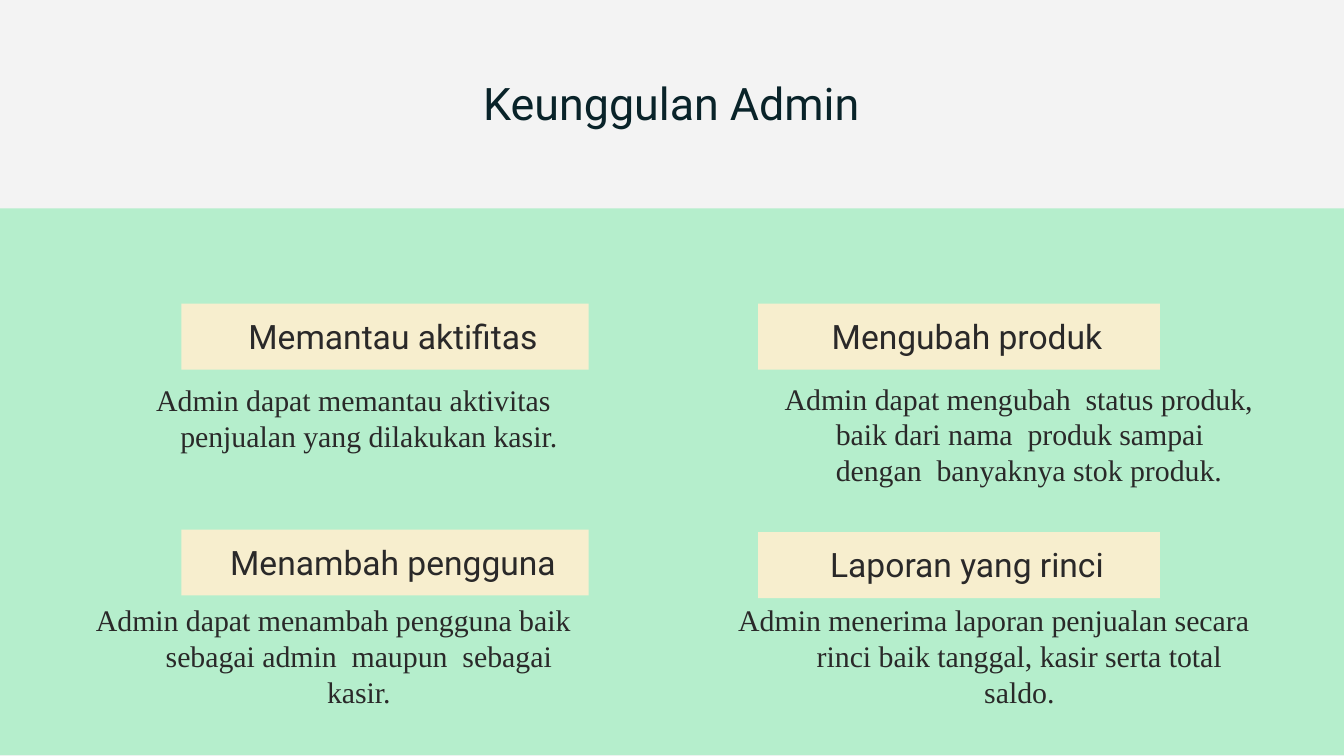
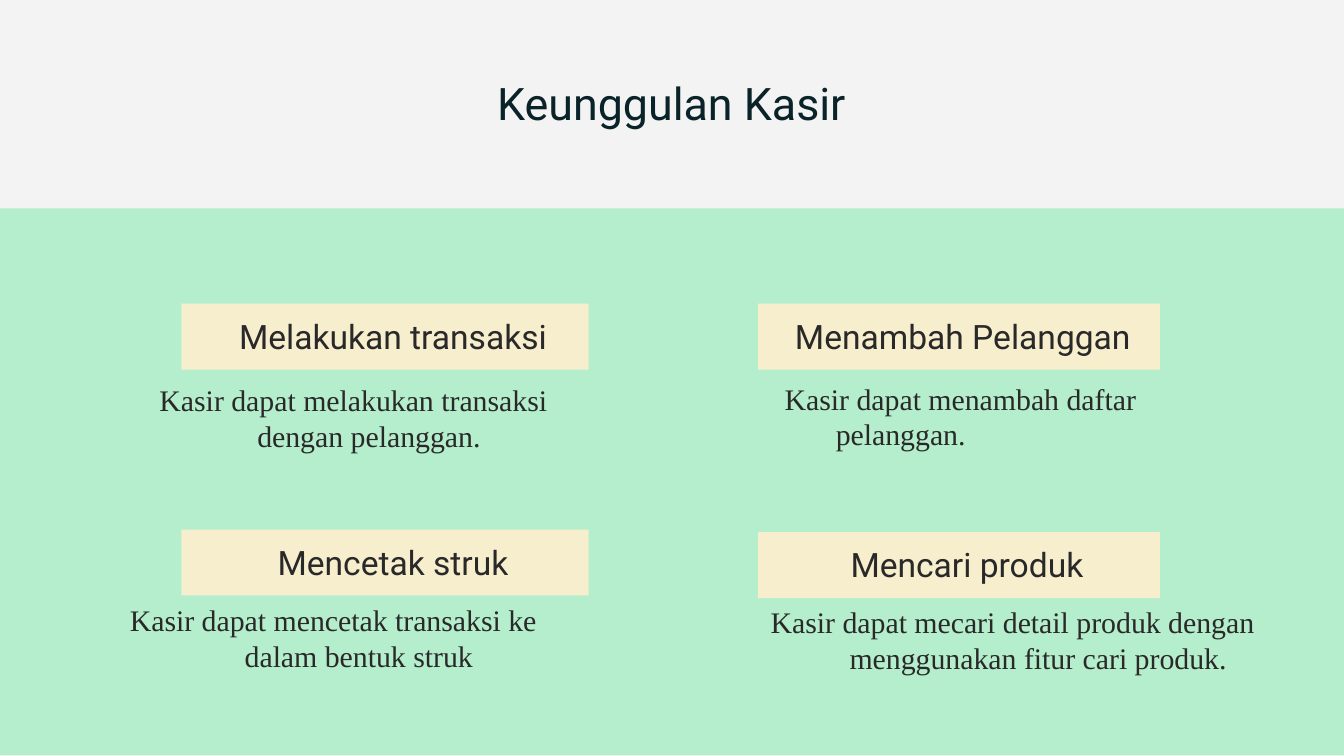
from dataclasses import dataclass, replace

from pptx import Presentation
from pptx.dml.color import RGBColor
from pptx.enum.shapes import MSO_SHAPE
from pptx.enum.text import MSO_ANCHOR, PP_ALIGN
from pptx.presentation import Presentation as Deck
from pptx.slide import Slide
from pptx.text.text import TextFrame
from pptx.util import Inches, Pt

PAPER = RGBColor(0xF3, 0xF3, 0xF3)
MINT = RGBColor(0xB5, 0xEE, 0xCC)
CREAM = RGBColor(0xF7, 0xEE, 0xCE)
TITLE_INK = RGBColor(0x09, 0x23, 0x29)
BODY_INK = RGBColor(0x2A, 0x29, 0x29)

HEADING_FONT = "Roboto"
BODY_FONT = "Times New Roman"
TITLE_ONLY_LAYOUT = 5
SLIDE_WIDTH = 10
INSET = Inches(0.1)


@dataclass(frozen=True)
class Area:
    left: float
    top: float
    width: float
    height: float

    def lengths(self) -> tuple[Inches, ...]:
        return tuple(Inches(n) for n in (self.left, self.top, self.width, self.height))


@dataclass(frozen=True)
class TextStyle:
    font: str
    size: int
    color: RGBColor
    anchor: MSO_ANCHOR
    align: PP_ALIGN = PP_ALIGN.CENTER
    margin: float = 0.0
    indent: float = 0.0


@dataclass(frozen=True)
class CardSlot:
    heading: Area
    body: Area
    body_style: TextStyle


@dataclass(frozen=True)
class Card:
    heading: str
    body: str


TITLE_AREA = Area(1.5, 0.46, 6.99, 0.63)
BAND_AREA = Area(-0.03, 1.55, 10.05, 4.07)

TITLE_STYLE = TextStyle(HEADING_FONT, 24, TITLE_INK, MSO_ANCHOR.TOP)
HEADING_STYLE = TextStyle(
    HEADING_FONT, 18, BODY_INK, MSO_ANCHOR.BOTTOM, margin=0.5, indent=-0.38
)
BODY_STYLE = replace(HEADING_STYLE, font=BODY_FONT, size=16, anchor=MSO_ANCHOR.TOP)

LEFT_HEADING = Area(1.35, 2.26, 3.03, 0.49)
RIGHT_HEADING = Area(5.64, 2.26, 2.99, 0.49)
SLOTS = [
    CardSlot(
        LEFT_HEADING,
        Area(0.46, 2.74, 3.92, 0.85),
        replace(BODY_STYLE, margin=0.65, indent=-0.23),
    ),
    CardSlot(
        RIGHT_HEADING,
        Area(5.62, 2.73, 3.92, 0.85),
        replace(BODY_STYLE, align=PP_ALIGN.LEFT),
    ),
    CardSlot(
        replace(LEFT_HEADING, top=3.94), Area(0.46, 4.38, 3.92, 0.79), BODY_STYLE
    ),
    CardSlot(
        replace(RIGHT_HEADING, top=3.96), Area(5.27, 4.38, 4.13, 0.78), BODY_STYLE
    ),
]
CASHIER_SLOTS = SLOTS[:3] + [replace(SLOTS[3], body=Area(5.41, 4.39, 4.13, 0.78))]

ADMIN_CARDS = [
    Card(
        "Memantau aktifitas",
        "Admin dapat memantau aktivitas penjualan yang dilakukan kasir.",
    ),
    Card(
        "Mengubah produk",
        "Admin dapat mengubah  status produk, baik dari nama  produk sampai "
        "dengan  banyaknya stok produk.",
    ),
    Card(
        "Menambah pengguna",
        "Admin dapat menambah pengguna baik sebagai admin  maupun  sebagai kasir.",
    ),
    Card(
        "Laporan yang rinci",
        "Admin menerima laporan penjualan secara rinci baik tanggal, kasir "
        "serta total saldo.",
    ),
]
CASHIER_CARDS = [
    Card(
        "Melakukan transaksi",
        "Kasir dapat melakukan transaksi dengan pelanggan.",
    ),
    Card("Menambah Pelanggan ", "Kasir dapat menambah daftar pelanggan."),
    Card("Mencetak struk", "Kasir dapat mencetak transaksi ke dalam bentuk struk"),
    Card(
        "Mencari produk",
        "Kasir dapat mecari detail produk dengan menggunakan fitur cari produk.",
    ),
]


def write(frame: TextFrame, text: str, style: TextStyle) -> None:
    frame.text = text
    frame.word_wrap = True
    frame.vertical_anchor = style.anchor
    frame.margin_left = frame.margin_right = INSET
    frame.margin_top = frame.margin_bottom = INSET
    paragraph = frame.paragraphs[0]
    paragraph.alignment = style.align
    properties = paragraph._p.get_or_add_pPr()
    properties.set("marL", str(Inches(style.margin)))
    properties.set("indent", str(Inches(style.indent)))
    for span in paragraph.runs:
        span.font.name = style.font
        span.font.size = Pt(style.size)
        span.font.color.rgb = style.color


def add_panel(page: Slide, area: Area, color: RGBColor) -> TextFrame:
    panel = page.shapes.add_shape(MSO_SHAPE.RECTANGLE, *area.lengths())
    panel.shadow.inherit = False
    panel.fill.solid()
    panel.fill.fore_color.rgb = color
    panel.line.fill.background()
    return panel.text_frame


def add_card(page: Slide, slot: CardSlot, card: Card) -> None:
    write(add_panel(page, slot.heading, CREAM), card.heading, HEADING_STYLE)
    box = page.shapes.add_textbox(*slot.body.lengths())
    write(box.text_frame, card.body, slot.body_style)


def add_page(deck: Deck, title: str, slots: list[CardSlot], cards: list[Card]) -> None:
    page = deck.slides.add_slide(deck.slide_layouts[TITLE_ONLY_LAYOUT])
    add_panel(page, BAND_AREA, MINT)
    heading = page.shapes.title
    heading.left, heading.top, heading.width, heading.height = TITLE_AREA.lengths()
    write(heading.text_frame, title, TITLE_STYLE)
    for slot, card in zip(slots, cards):
        add_card(page, slot, card)


def main() -> None:
    deck = Presentation()
    deck.slide_width = Inches(SLIDE_WIDTH)
    deck.slide_height = Inches(SLIDE_WIDTH * 9 / 16)
    background = deck.slide_master.background.fill
    background.solid()
    background.fore_color.rgb = PAPER
    add_page(deck, "Keunggulan Admin", SLOTS, ADMIN_CARDS)
    add_page(deck, "Keunggulan Kasir", CASHIER_SLOTS, CASHIER_CARDS)
    deck.save("out.pptx")


if __name__ == "__main__":
    main()
